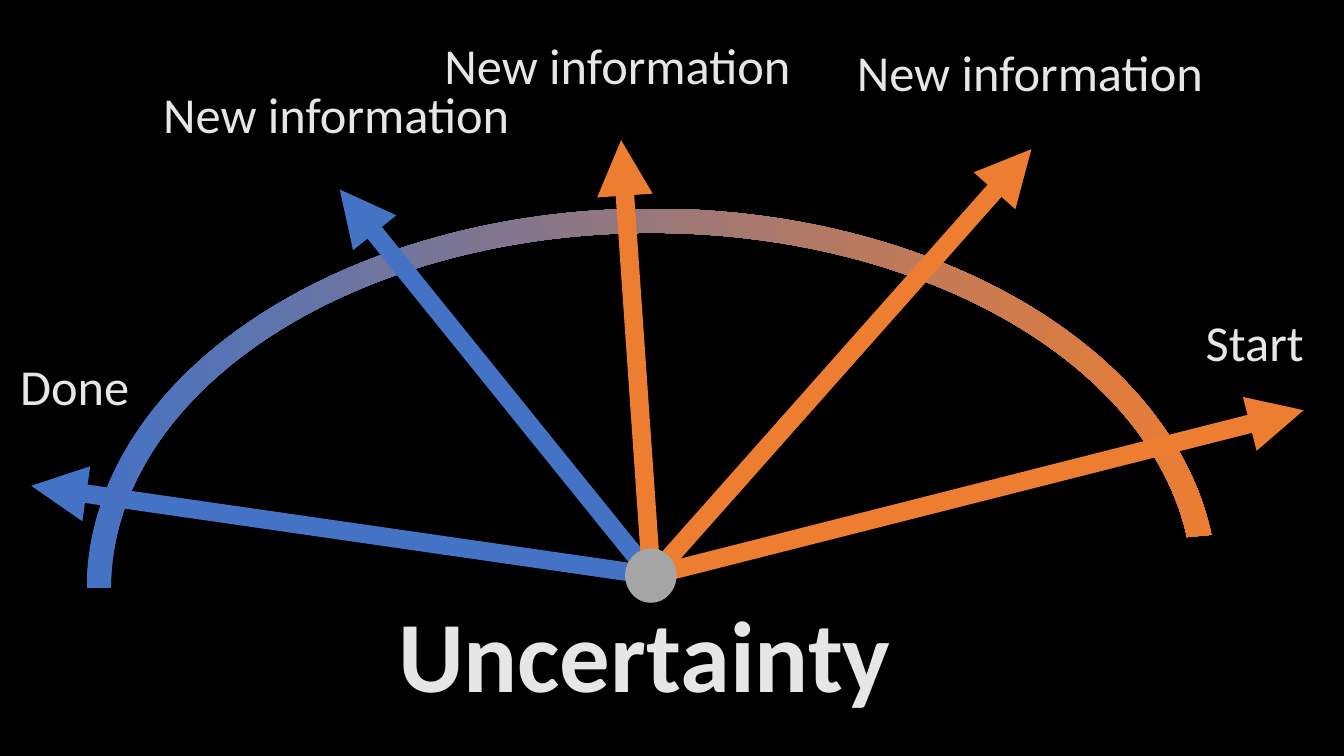
import pptx
import pptx.dml.color
import pptx.enum.shapes
import pptx.enum.text
import pptx.util
from dataclasses import dataclass
from pptx.oxml.ns import qn

Inches = pptx.util.Inches
Pt = pptx.util.Pt
Shape = pptx.enum.shapes.MSO_SHAPE


def color(code):
    return pptx.dml.color.RGBColor.from_string(code)


@dataclass
class Theme:
    back: str = "000000"
    text: str = "E7E6E6"
    cool: str = "4472C4"
    warm: str = "ED7D31"
    hub: str = "A5A5A5"
    font: str = "Calibri"
    title: float = 72
    label: float = 36
    needle: float = 13.25


class Gauge:
    def __init__(self, slide, theme):
        self.slide = slide
        self.theme = theme
        fill = slide.background.fill
        fill.solid()
        fill.fore_color.rgb = color(theme.back)

    def needle(self, start, tip, code):
        """Draw a thick arrow from start to tip."""
        kind = pptx.enum.shapes.MSO_CONNECTOR.STRAIGHT
        ends = [Inches(n) for n in (*start, *tip)]
        arrow = self.slide.shapes.add_connector(kind, *ends)
        arrow.line.color.rgb = color(code)
        arrow.line.width = Pt(self.theme.needle)
        head = arrow.line._get_or_add_ln().makeelement(qn("a:tailEnd"), {"type": "triangle"})
        arrow.line._get_or_add_ln().append(head)
        props = arrow._element.spPr
        props.append(props.makeelement(qn("a:effectLst"), {}))

    def shape(self, kind, box):
        item = self.slide.shapes.add_shape(kind, *[Inches(n) for n in box])
        item.shadow.inherit = False
        item.line.fill.background()
        return item

    def arc(self, box):
        """Draw the dial, shaded from the cool to the warm colour."""
        dial = self.shape(Shape.BLOCK_ARC, box)
        # Start angle, end angle and thickness
        for i, value in enumerate((108, 212.73, 0.032)):
            dial.adjustments[i] = value
        dial.fill.gradient()
        dial.fill.gradient_angle = 0
        for stop, code in zip(dial.fill.gradient_stops, (self.theme.cool, self.theme.warm)):
            stop.color.rgb = color(code)

    def hub(self, box):
        disc = self.shape(Shape.OVAL, box)
        disc.fill.solid()
        disc.fill.fore_color.rgb = color(self.theme.hub)

    def label(self, text, box, size, bold=False, wrap=False):
        frame = self.slide.shapes.add_textbox(*[Inches(n) for n in box]).text_frame
        frame.word_wrap = wrap
        frame.auto_size = pptx.enum.text.MSO_AUTO_SIZE.SHAPE_TO_FIT_TEXT
        frame.text = text
        font = frame.paragraphs[0].runs[0].font
        font.name = self.theme.font
        font.size = Pt(size)
        font.bold = bold
        font.color.rgb = color(self.theme.text)


def main():
    deck = pptx.Presentation()
    deck.slide_width = Inches(13.33)
    deck.slide_height = Inches(7.5)
    theme = Theme()
    gauge = Gauge(deck.slides.add_slide(deck.slide_layouts[6]), theme)

    left, right = (6.46, 5.71), (6.48, 5.71)
    gauge.needle(right, (0.31, 4.82), theme.cool)
    gauge.arc((0.86, 2.07, 11.21, 7.53))
    for start, tip, code in (
        (left, (12.93, 4.07), theme.warm),
        (right, (10.23, 1.48), theme.warm),
        (left, (3.37, 1.88), theme.cool),
        (left, (6.16, 1.39), theme.warm),
    ):
        gauge.needle(start, tip, code)

    gauge.label("Uncertainty", (3.85, 5.82, 5.14, 1.31), theme.title, bold=True)
    for x, y, wrap in ((8.4, 0.36, False), (1.52, 0.78, False), (4.31, 0.29, True)):
        gauge.label("New information", (x, y, 3.67, 0.71), theme.label, wrap=wrap)
    gauge.label("Done", (0.1, 3.47, 1.29, 0.71), theme.label)
    gauge.label("Start", (11.86, 3.04, 1.18, 0.71), theme.label)
    gauge.hub((6.2, 5.44, 0.51, 0.54))
    deck.save("out.pptx")


if __name__ == "__main__":
    main()
